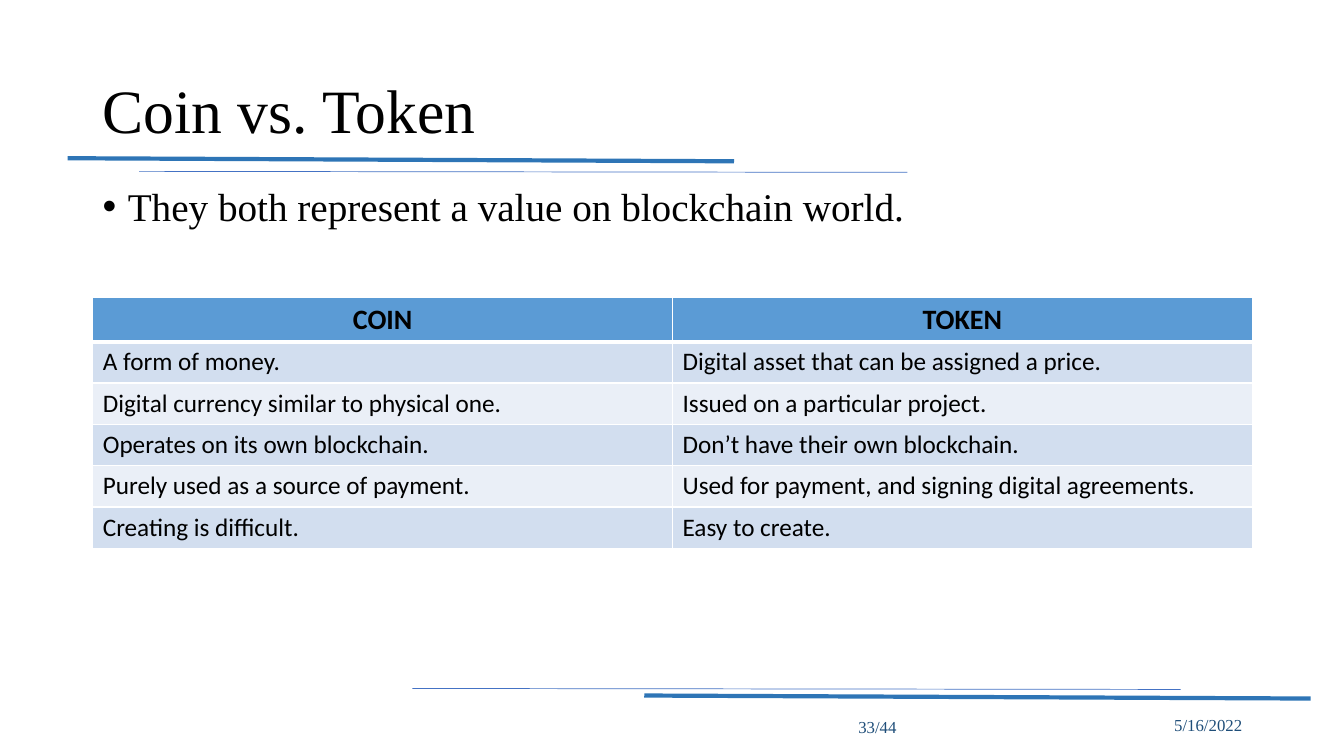
"""Build the Coin vs. Token slide with its table and ruled accents."""
import pptx
import pptx.util
import pptx.dml.color
import pptx.enum.shapes
import pptx.enum.text
import pptx.oxml
import pptx.oxml.ns
import lxml.etree
from dataclasses import dataclass

Inch, Pt = pptx.util.Inches, pptx.util.Pt
Align = pptx.enum.text.PP_ALIGN
Anchor = pptx.enum.text.MSO_ANCHOR


@dataclass
class Theme:
    """Colours, fonts and type sizes of the slide."""
    black: str = "000000"
    white: str = "FFFFFF"
    head: str = "5B9BD5"
    bands: tuple = ("D2DEEF", "EAEFF7")
    thick: tuple = ("2E75B6", 3)
    thin: tuple = ("4472C4", 0.5)
    note: str = "1F4E79"
    serif: str = "Times New Roman"
    sans: str = "Calibri"
    title: int = 44
    body: int = 28
    top: int = 20
    cell: int = 18
    foot: int = 12


look = Theme()
WIDE, HIGH = 13.33, 7.5
LEFT, SPAN = 0.92, 11.5
TOP, ROW = 2.95, 0.41

TITLE = "Coin vs. Token"
POINT = "They both represent a value on blockchain world."
ROWS = [
    ("COIN", "TOKEN"),
    ("A form of money.", "Digital asset that can be assigned a price."),
    ("Digital currency similar to physical one.", "Issued on a particular project."),
    ("Operates on its own blockchain.", "Don’t have their own blockchain."),
    ("Purely used as a source of payment.", "Used for payment, and signing digital agreements."),
    ("Creating is difficult.", "Easy to create."),
]
RULES = [
    (4.09, 6.83, 11.71, 6.84, look.thin),
    (6.39, 6.9, 13, 6.93, look.thick),
    (0.67, 1.57, 7.28, 1.6, look.thick),
    (1.38, 1.7, 9, 1.71, look.thin),
]
FEET = [("5/16/2022", (11.01, 6.99, 1.41, 0.4)), ("33/44", (8.18, 6.96, 0.81, 0.51))]


def tint(code):
    return pptx.dml.color.RGBColor.from_string(code)


def style(para, size, face, color, bold=False):
    for run in para.runs:
        run.font.size, run.font.name, run.font.bold = Pt(size), face, bold
        run.font.color.rgb = tint(color)


def write(slide, text, box, size, color, anchor=Anchor.MIDDLE, align=Align.LEFT):
    frame = slide.shapes.add_textbox(*map(Inch, box)).text_frame
    frame.word_wrap, frame.vertical_anchor = True, anchor
    frame.text = text
    para = frame.paragraphs[0]
    para.alignment = align
    style(para, size, look.serif, color)
    return para


def bullet(para, inset):
    props = para._p.get_or_add_pPr()
    props.set("marL", str(Inch(inset)))
    props.set("indent", str(-Inch(inset)))
    tag = pptx.oxml.ns.qn
    lxml.etree.SubElement(props, tag("a:buFont")).set("typeface", "Arial")
    lxml.etree.SubElement(props, tag("a:buChar")).set("char", "•")


def rule(slide, x1, y1, x2, y2, pen):
    kind = pptx.enum.shapes.MSO_CONNECTOR.STRAIGHT
    line = slide.shapes.add_connector(kind, *map(Inch, (x1, y1, x2, y2)))
    line.line.color.rgb, line.line.width = tint(pen[0]), Pt(pen[1])
    lxml.etree.SubElement(line._element.spPr, pptx.oxml.ns.qn("a:effectLst"))


def border(cell, row):
    props = cell._tc.get_or_add_tcPr()
    heavy = {0: "B", 1: "T"}.get(row)
    for side in "LRTB":
        width = Pt(3 if side == heavy else 1)
        props.append(pptx.oxml.parse_xml(
            f'<a:ln{side} {pptx.oxml.ns.nsdecls("a")} w="{width}"><a:solidFill>'
            f'<a:srgbClr val="{look.white}"/></a:solidFill></a:ln{side}>'))


def grid(slide):
    count, cols = len(ROWS), len(ROWS[0])
    box = map(Inch, (LEFT, TOP, SPAN, ROW * count))
    table = slide.shapes.add_table(count, cols, *box).table
    for r, texts in enumerate(ROWS):
        table.rows[r].height = Inch(ROW)
        head = r == 0
        for c, text in enumerate(texts):
            cell = table.cell(r, c)
            cell.text = text
            para = cell.text_frame.paragraphs[0]
            para.alignment = Align.CENTER if head else Align.LEFT
            style(para, look.top if head else look.cell, look.sans, look.black, head)
            border(cell, r)
            cell.fill.solid()
            cell.fill.fore_color.rgb = tint(look.head if head else look.bands[(r - 1) % 2])


def main():
    deck = pptx.Presentation()
    deck.slide_width, deck.slide_height = Inch(WIDE), Inch(HIGH)
    slide = deck.slides.add_slide(deck.slide_layouts[6])
    for item in RULES:
        rule(slide, *item)
    grid(slide)
    title = write(slide, TITLE, (LEFT, 0.4, SPAN, 1.45), look.title, look.black)
    title.line_spacing = 0.9
    for text, box in FEET:
        write(slide, text, box, look.foot, look.note, align=Align.RIGHT)
    point = write(slide, POINT, (LEFT, 1.81, 11.26, 4.76), look.body, look.black, Anchor.TOP)
    point.line_spacing, point.space_before = 0.9, Pt(10)
    bullet(point, 0.25)
    deck.save("out.pptx")


if __name__ == "__main__":
    main()
